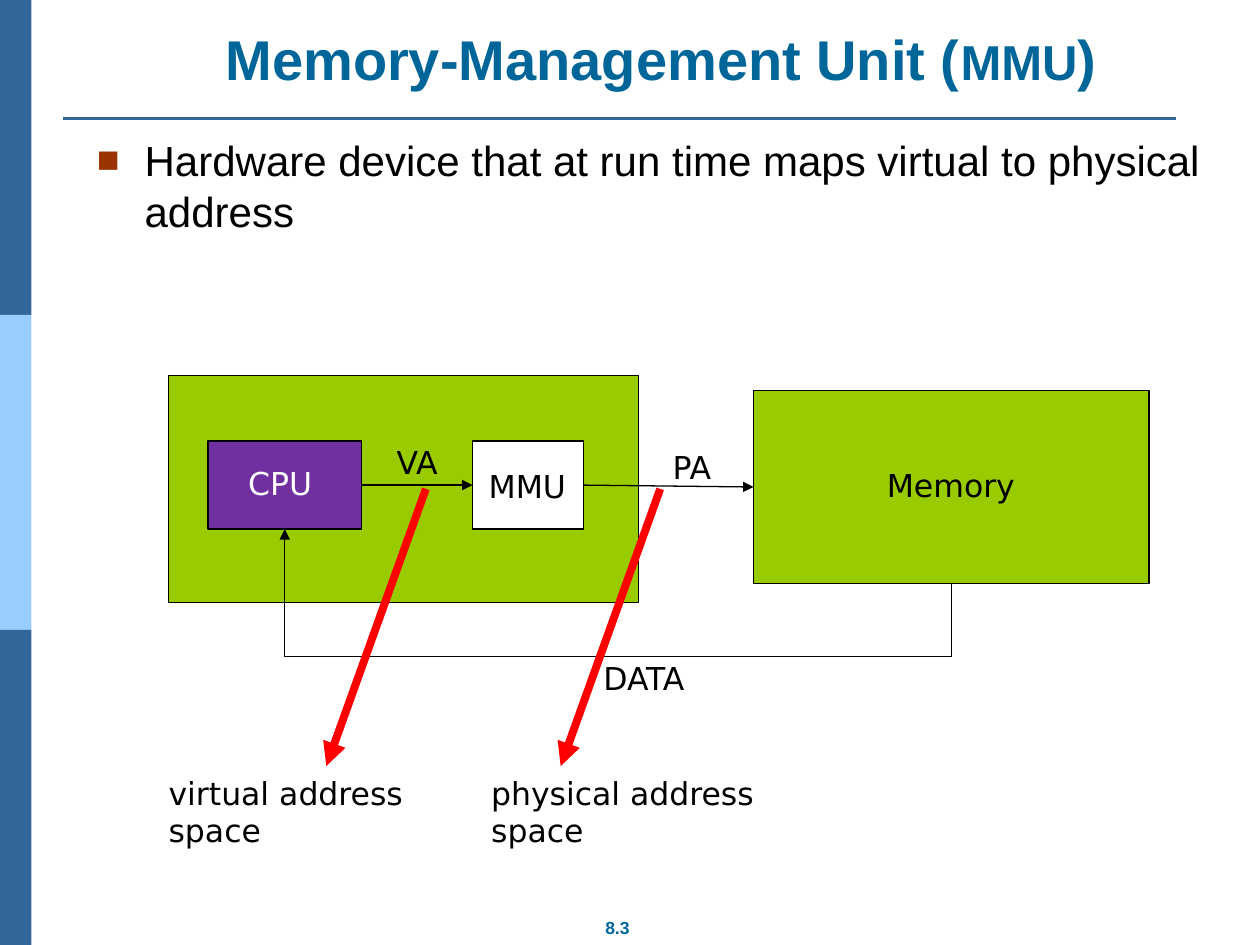
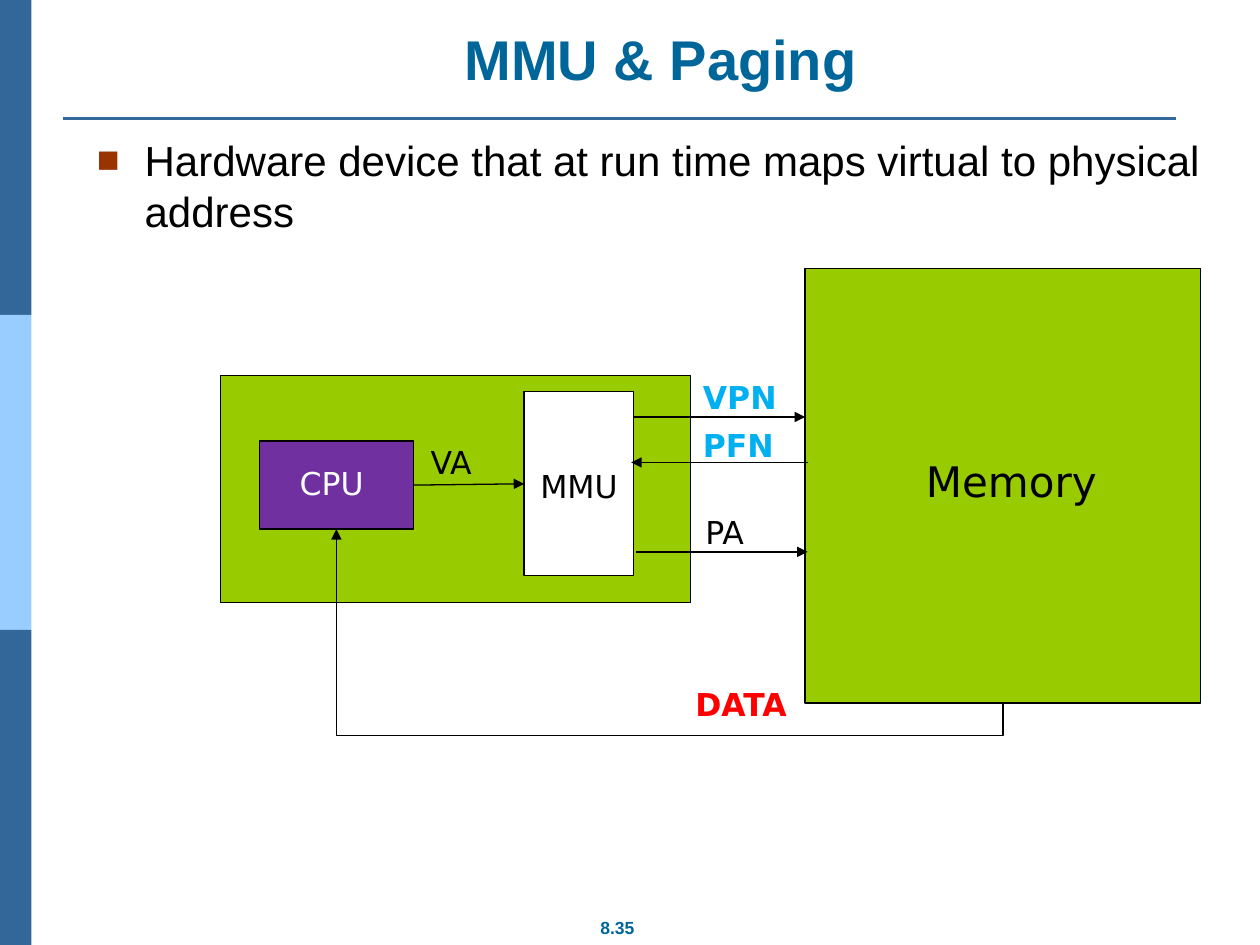
from lxml.etree import SubElement
from pptx import Presentation
from pptx.dml.color import RGBColor
from pptx.enum.shapes import MSO_CONNECTOR, MSO_SHAPE
from pptx.enum.text import MSO_ANCHOR, PP_ALIGN
from pptx.oxml.ns import qn
from pptx.util import Inches, Pt

RECT = MSO_SHAPE.RECTANGLE
STRAIGHT, ELBOW = MSO_CONNECTOR.STRAIGHT, MSO_CONNECTOR.ELBOW
CENTER, LEFT = PP_ALIGN.CENTER, PP_ALIGN.LEFT
TOP, BOTTOM = MSO_ANCHOR.TOP, MSO_ANCHOR.BOTTOM
UP, WEST, DOWN, EAST = 0, 1, 2, 3

BLUE = RGBColor(0x33, 0x66, 0x99)
PALE = RGBColor(0x99, 0xCC, 0xFF)
TEAL = RGBColor(0x00, 0x66, 0x99)
GREEN = RGBColor(0x99, 0xCC, 0x00)
PURPLE = RGBColor(0x70, 0x30, 0xA0)
CYAN = RGBColor(0x00, 0xB0, 0xF0)
RED = RGBColor(0xFF, 0x00, 0x00)
BLACK = RGBColor(0x00, 0x00, 0x00)
WHITE = RGBColor(0xFF, 0xFF, 0xFF)
RUST = "993300"

SANS, LABEL = "Arial", "DejaVu Sans"
WIDTH, HEIGHT = Inches(10), Inches(7.5)
COLS, ROWS = 100, 75
COL, ROW = WIDTH / COLS, HEIGHT / ROWS
TAG = (12.2, 4)
NOTE = (25.4, 7)


def grid(box):
    x, y, w, h = box
    return round(x * COL), round(y * ROW), round(w * COL), round(h * ROW)


def block(slide, box, fill, edge=None):
    shape = slide.shapes.add_shape(RECT, *grid(box))
    shape.shadow.inherit = False
    shape.fill.solid()
    shape.fill.fore_color.rgb = fill
    if edge is None:
        shape.line.fill.background()
    else:
        shape.line.color.rgb = edge
        shape.line.width = Pt(0.75)
    return shape


def write(slide, box, lines, size=18, color=BLACK, bold=False,
          face=LABEL, align=LEFT, anchor=TOP):
    frame = slide.shapes.add_textbox(*grid(box)).text_frame
    frame.word_wrap = True
    frame.vertical_anchor = anchor
    for index, line in enumerate(lines):
        para = frame.paragraphs[0] if index == 0 else frame.add_paragraph()
        para.alignment = align
        for text, scale in line if isinstance(line, list) else [(line, None)]:
            run = para.add_run()
            run.text = text
            if scale:
                run.font.size = Pt(scale)
        font = para.font
        font.name, font.size, font.bold = face, Pt(size), bold
        font.color.rgb = color
    return frame


def link(slide, start, end, color=BLACK, width=0.75, head=True, kind=STRAIGHT):
    ends = [round(v) for v in (start[0] * COL, start[1] * ROW,
                               end[0] * COL, end[1] * ROW)]
    line = slide.shapes.add_connector(kind, *ends)
    line.line.color.rgb = color
    line.line.width = Pt(width)
    props = line._element.spPr
    if head:
        SubElement(props.find(qn("a:ln")), qn("a:tailEnd"), type="triangle")
    SubElement(props, qn("a:effectLst"))
    return line


def join(slide, first, side, last, edge, kind=STRAIGHT):
    line = link(slide, (0, 0), (1, 1), kind=kind)
    line.begin_connect(first, side)
    line.end_connect(last, edge)
    return line


def loop(slide, memory, cpu, bus):
    line = join(slide, memory, DOWN, cpu, DOWN, ELBOW)
    base, goal = memory.top + memory.height, cpu.top + cpu.height
    right = memory.left + memory.width // 2
    left = cpu.left + cpu.width // 2
    rise, span = base - goal, right - left
    line.left, line.top = (left + right - rise) // 2, (base + goal - span) // 2
    line.width, line.height = rise, span
    props = line._element.spPr
    form = props.find(qn("a:xfrm"))
    for key, value in (("rot", "16200000"), ("flipH", "0"), ("flipV", "1")):
        form.set(key, value)
    bend = round((base - bus * ROW) / rise * 100000)
    SubElement(props.find(qn("a:prstGeom")).find(qn("a:avLst")),
               qn("a:gd"), name="adj1", fmla=f"val {bend}")


def bullet(para):
    props = para._p.get_or_add_pPr()
    props.set("marL", str(Inches(0.38)))
    props.set("indent", str(-Inches(0.38)))
    for node in props.findall(qn("a:defRPr")):
        props.remove(node)
    SubElement(SubElement(props, qn("a:buClr")), qn("a:srgbClr"), val=RUST)
    SubElement(props, qn("a:buSzPct"), val="90000")
    SubElement(props, qn("a:buFont"), typeface=SANS)
    SubElement(props, qn("a:buChar"), char="■")
    para.font.name, para.font.size = SANS, Pt(24)
    para.font.color.rgb = BLACK


def base(deck, title, number):
    slide = deck.slides.add_slide(deck.slide_layouts[6])
    third = ROWS / 3
    for index, fill in enumerate((BLUE, PALE, BLUE)):
        block(slide, (0, index * third, 2.5, third), fill)
    link(slide, (5, 9.4), (93.3, 9.4), BLUE, 1.5, head=False)
    write(slide, (44.1, 72.3, 9.8, 2.7), [number], 10, TEAL, True, SANS, CENTER)
    write(slide, (9.6, 1.5, 85.7, 6.3), [title], 32, TEAL, True, SANS,
          CENTER, BOTTOM)
    body = write(slide, (6.7, 10.2, 93.3, 56.3), [
        "Hardware device that at run time maps virtual to physical address"])
    bullet(body.paragraphs[0])
    return slide


def chart(slide, x, y, unit, store, bus):
    def part(box, fill):
        return block(slide, (x + box[0], y + box[1], *box[2:]), fill, BLACK)

    part((0, 0, 37.3, 18), GREEN)
    cpu = part((3.1, 5.2, 12.2, 7), PURPLE)
    mmu = part((24.1, *unit), WHITE)
    memory = part((46.4, *store), GREEN)
    join(slide, cpu, EAST, mmu, WEST)
    loop(slide, memory, cpu, y + bus)
    tags(slide, x, y, [("CPU", 5.3, 6.5, WHITE), ("MMU", 24.4, 6.8, BLACK)])
    return mmu, memory


def tags(slide, x, y, items, bold=False):
    for text, dx, dy, color in items:
        write(slide, (x + dx, y + dy, *TAG), [text], color=color, bold=bold)


def unit(deck):
    title = [("Memory-Management Unit (", None), ("MMU", 28), (")", None)]
    slide = base(deck, title, "8.3")
    x, y = 13.4, 29.8
    mmu, memory = chart(slide, x, y, (5.2, 8.8, 7), (1.2, 31.4, 15.3), 22.3)
    join(slide, mmu, EAST, memory, WEST)
    tags(slide, x, y, [("Memory", 56, 6.7, BLACK), ("VA", 17.1, 4.9, BLACK),
                       ("PA", 39, 5.3, BLACK), ("DATA", 33.5, 22, BLACK)])
    for word, tip, left in (("virtual", 20.4, -1), ("physical", 39, 24.6)):
        link(slide, (x + tip, y + 9), (x + tip - 7.9, y + 31), RED, 4.5)
        write(slide, (x + left, y + 31.1, *NOTE), [f"{word} address", "space"])


def paging(deck):
    slide = base(deck, "MMU & Paging", "8.35")
    x, y = 17.5, 29.8
    chart(slide, x, y, (1.3, 8.7, 14.6), (-8.5, 31.4, 34.5), 28.6)
    for start, end, row in ((32.8, 46.4, 3.3), (46.6, 32.6, 6.9),
                            (33, 46.6, 14)):
        link(slide, (x + start, y + row), (x + end, y + row))
    write(slide, (x + 55, y + 5.9, 17.9, 5), ["Memory"], 24)
    tags(slide, x, y, [("VA", 15.7, 4.9, BLACK), ("PA", 37.5, 10.4, BLACK)])
    tags(slide, x, y, [("VPN", 37.3, -0.3, CYAN), ("PFN", 37.3, 3.5, CYAN),
                       ("DATA", 36.7, 24.1, RED)], True)


def main():
    deck = Presentation()
    deck.slide_width, deck.slide_height = WIDTH, HEIGHT
    unit(deck)
    paging(deck)
    deck.save("out.pptx")


if __name__ == "__main__":
    main()
